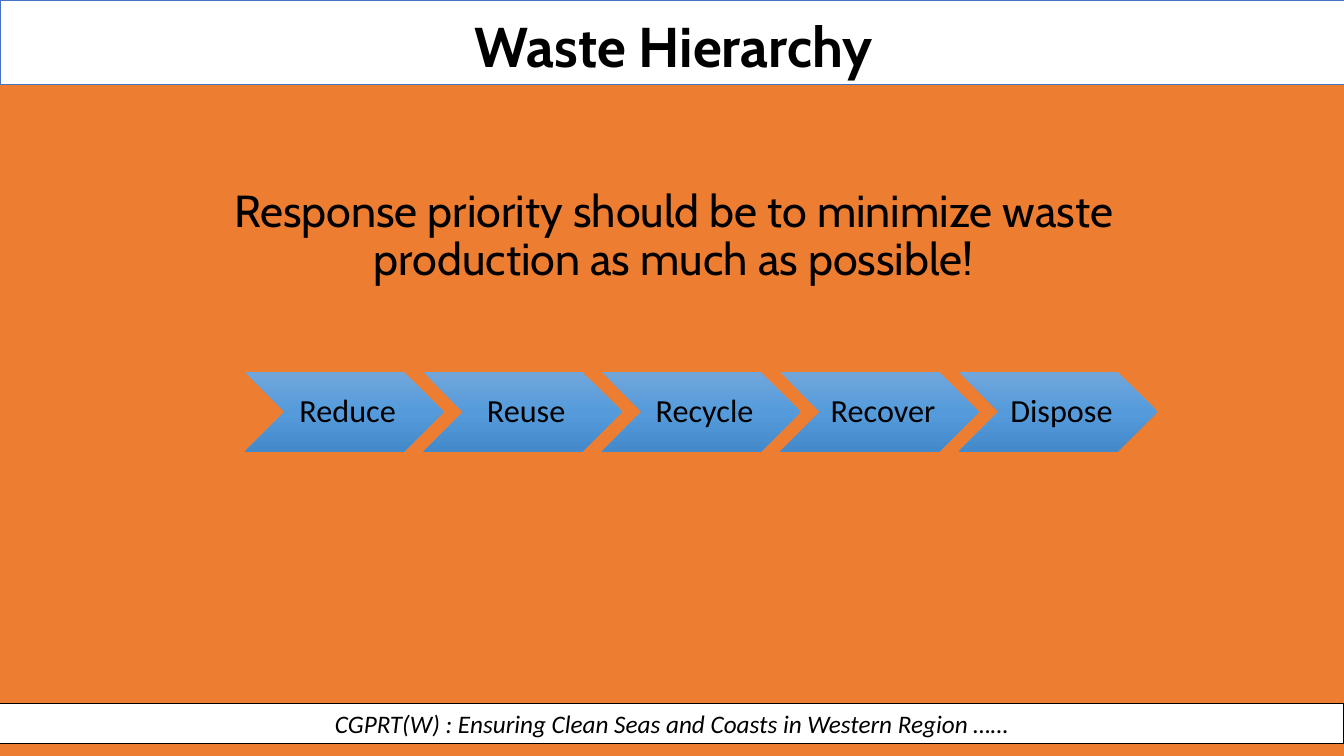
from copy import deepcopy

from pptx import Presentation
from pptx.dml.color import RGBColor
from pptx.enum.shapes import MSO_SHAPE as Shape
from pptx.enum.text import MSO_ANCHOR as Anchor, MSO_AUTO_SIZE as AutoSize, PP_ALIGN as Align
from pptx.util import Inches, Pt

BLACK, WHITE, ORANGE, BLUE = "000000", "FFFFFF", "ED7D31", "4472C4"
GRADIENT = {0: "71A6DB", 0.5: "559BDB", 1: "448ACA"}
STEPS = ["Reduce", "Reuse", "Recycle", "Recover", "Dispose"]
FIRST_LEFT, STEP_PITCH = 2.43, 1.77


def colour(code):
    return RGBColor.from_string(code)


class WasteSlide:
    """Hold the style and the current slide, and draw each kind of element."""

    def __init__(self, deck):
        self.heading_font, self.body_font = "Cabin", "Calibri"
        self.page = deck.slides.add_slide(deck.slide_layouts[5])
        background = self.page.background.fill
        background.solid()
        background.fore_color.rgb = colour(ORANGE)

    def put_text(self, box, text, font, anchor=Anchor.TOP, insets=(0.1, 0.05, 0.1, 0.05), spacing=0.9):
        frame = box.text_frame
        left, top, right, bottom = map(Inches, insets)
        settings = {"word_wrap": True, "auto_size": AutoSize.NONE, "vertical_anchor": anchor,
                    "margin_left": left, "margin_top": top,
                    "margin_right": right, "margin_bottom": bottom}
        for name, value in settings.items():
            setattr(frame, name, value)
        para = frame.paragraphs[0]
        para.alignment = Align.CENTER
        para.line_spacing = spacing
        span = para.add_run()
        span.text = text
        for name, value in font.items():
            setattr(span.font, name, value)
        span.font.color.rgb = colour(BLACK)

    def shape(self, kind, left, top, width, height):
        shape = self.page.shapes.add_shape(kind, *map(Inches, (left, top, width, height)))
        shape.shadow.inherit = False
        return shape

    def band(self, top, height, line, weight):
        band = self.shape(Shape.RECTANGLE, 0, top, 13.33, height)
        band.fill.solid()
        band.fill.fore_color.rgb = colour(WHITE)
        band.line.color.rgb = colour(line)
        band.line.width = Pt(weight)
        return band

    def title(self, text):
        title = self.page.shapes.title
        place = {"left": 0.5, "top": 0.14, "width": 12.36, "height": 0.61}
        for name, value in place.items():
            setattr(title, name, Inches(value))
        self.put_text(title, text, {"name": self.heading_font, "size": Pt(40), "bold": True})
        title.element.getparent().append(title.element)

    def message(self, text):
        box = self.page.shapes.add_textbox(*map(Inches, (1.22, 1.82, 10.93, 3.76)))
        self.put_text(box, text, {"name": self.heading_font, "size": Pt(32)})

    def footer(self, text):
        band = self.band(6.98, 0.4, BLACK, 0.75)
        self.put_text(band, text, {"name": self.body_font, "size": Pt(18), "italic": True},
                      Anchor.MIDDLE, spacing=1.0)

    def chevron(self, left, text):
        chevron = self.shape(Shape.CHEVRON, left, 3.69, 1.97, 0.79)
        chevron.line.fill.background()
        chevron.fill.gradient()
        chevron.fill.gradient_angle = 270
        stop_list = chevron.element.spPr.find(".//{*}gsLst")
        stop_list.append(deepcopy(stop_list[-1]))
        for stop, (position, code) in zip(chevron.fill.gradient_stops, GRADIENT.items()):
            stop.position = position
            stop.color.rgb = colour(code)
        self.put_text(chevron, text, {"name": self.body_font, "size": Pt(23)},
                      Anchor.MIDDLE, (0.1, 0.03, 0.03, 0.03))


def main():
    deck = Presentation()
    deck.slide_width, deck.slide_height = Inches(13.33), Inches(7.5)
    slide = WasteSlide(deck)
    slide.footer("CGPRT(W) : Ensuring Clean Seas and Coasts in Western Region ……")
    slide.band(0, 0.84, BLUE, 0.5)
    slide.title("Waste Hierarchy")
    slide.message("Response priority should be to minimize waste production as much as possible!")
    for index, step in enumerate(STEPS):
        slide.chevron(FIRST_LEFT + index * STEP_PITCH, step)
    deck.save("out.pptx")


if __name__ == "__main__":
    main()
